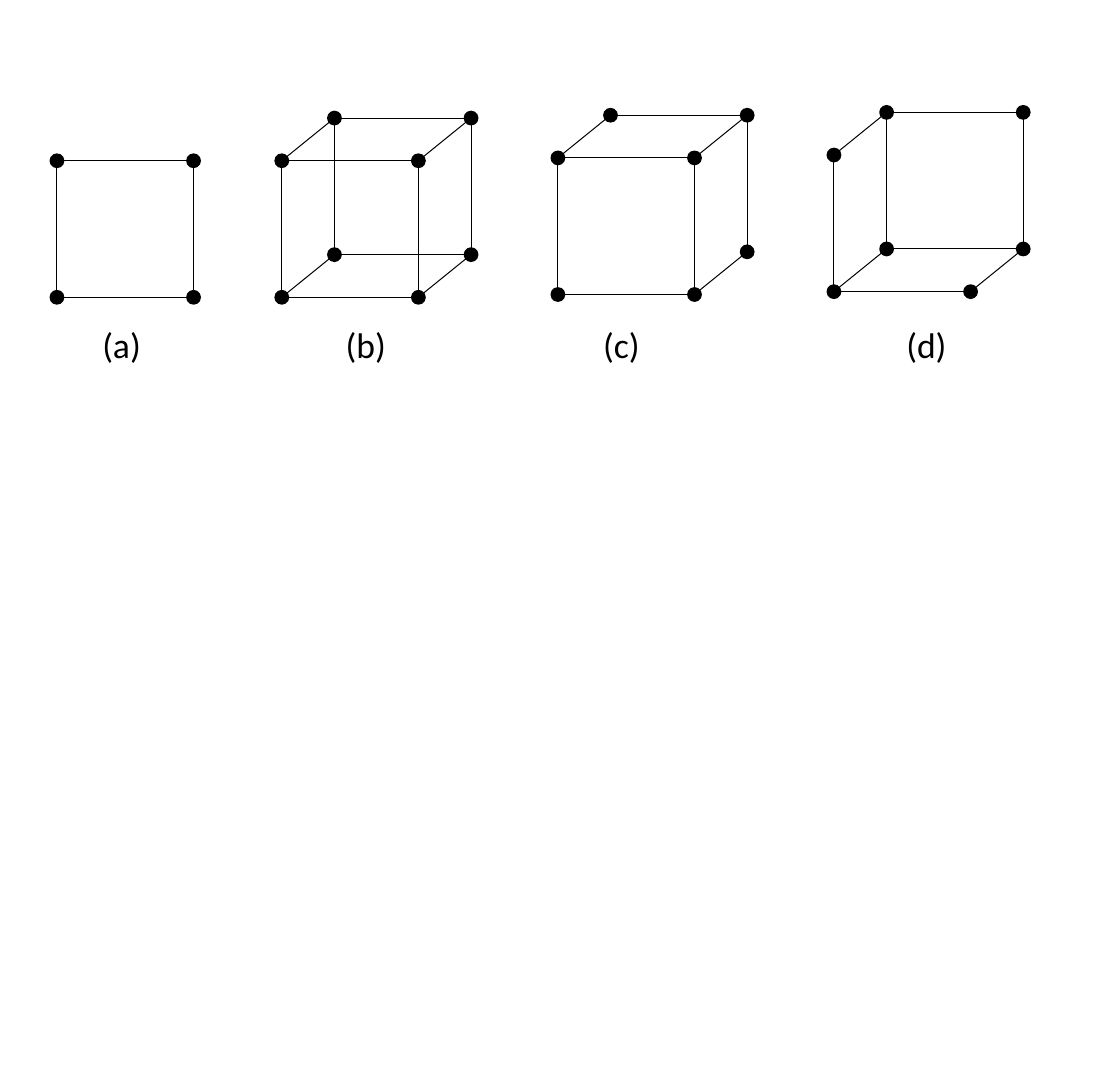
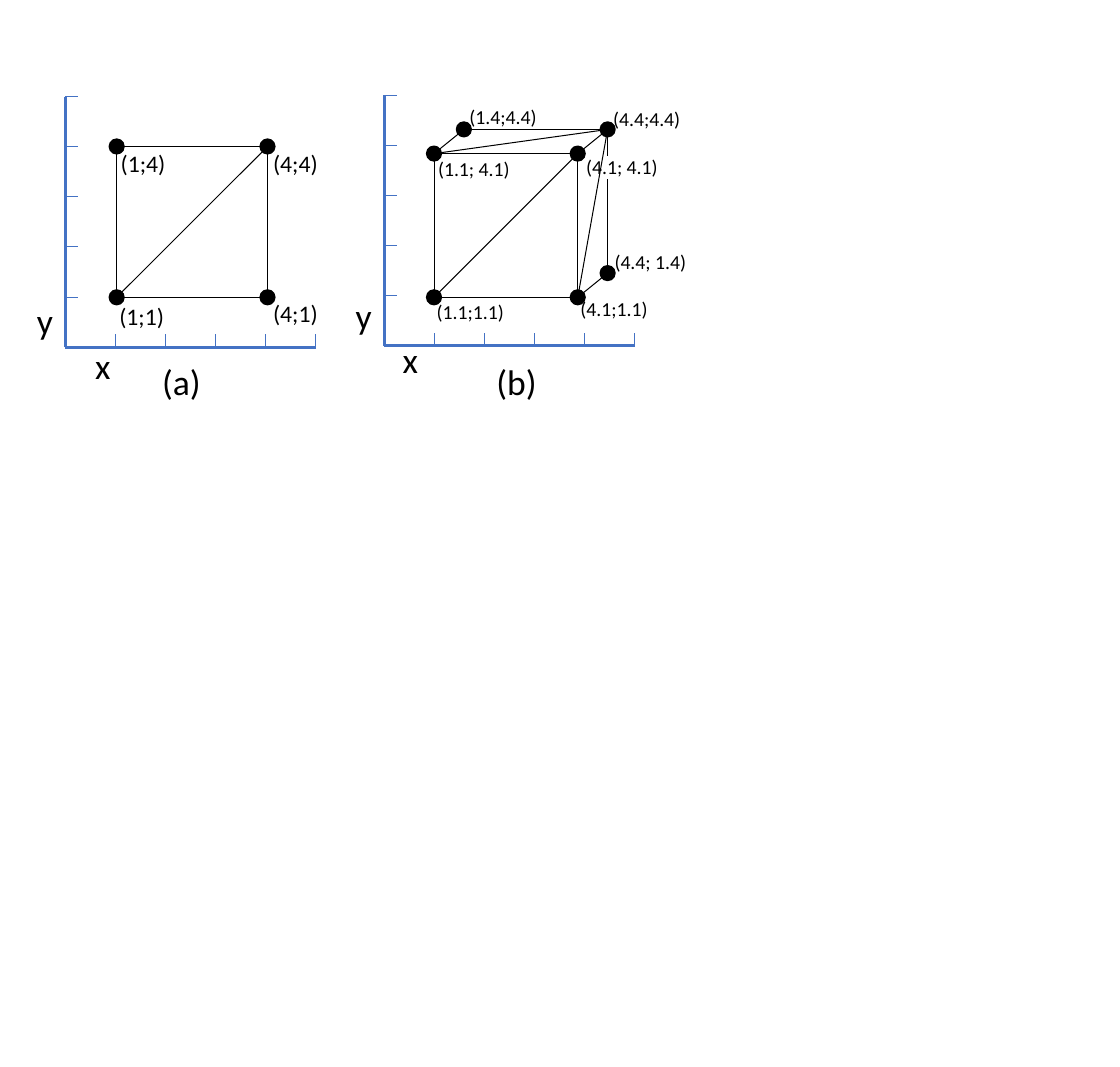
from itertools import combinations, product

from pptx import Presentation
from pptx import util as u
from pptx.dml.color import RGBColor
from pptx.enum import shapes, text
from pptx.oxml.ns import qn
from lxml import etree

COLORS = {"ink": "000000", "axis": "4472C4"}
FONT = "Calibri"
THIN, THICK = 0.5, 1.5
BOX_SIZES = {10: (0.7, 0.27), 12: (0.52, 0.3), 18: (0.48, 0.4)}
AXIS_LENGTH, TICK_GAPS, TICK_LENGTH = 1.76, 5, 0.09

FRONT_TOP_LEFT, FRONT_TOP_RIGHT = (0, 0, 0), (1, 0, 0)
FRONT_BOTTOM_LEFT, FRONT_BOTTOM_RIGHT = (0, 1, 0), (1, 1, 0)
BACK_TOP_LEFT, BACK_TOP_RIGHT = (0, 0, 1), (1, 0, 1)
BACK_BOTTOM_LEFT, BACK_BOTTOM_RIGHT = (0, 1, 1), (1, 1, 1)
CORNERS = list(product((0, 1), repeat=3))
BACK_FACE = [corner for corner in CORNERS if corner[2]]


def rgb(name):
    return RGBColor.from_string(COLORS[name])


def add_line(group, start, end, color="ink", width=THIN):
    ends = [u.Inches(value) for value in (*start, *end)]
    line = group.shapes.add_connector(shapes.MSO_CONNECTOR.STRAIGHT, *ends)
    line.line.color.rgb = rgb(color)
    line.line.width = u.Pt(width)
    etree.SubElement(line._element.spPr, qn("a:effectLst"))


def add_dot(group, center, size):
    x, y = center
    dot = group.shapes.add_shape(
        shapes.MSO_SHAPE.OVAL,
        u.Inches(x - size / 2), u.Inches(y - size / 2), u.Inches(size), u.Inches(size))
    dot.shadow.inherit = False
    dot.fill.solid()
    dot.fill.fore_color.rgb = rgb("ink")
    dot.line.color.rgb = rgb("ink")
    dot.line.width = u.Pt(1)


def add_label(page, words, left, top, size=18, width=None):
    default_width, height = BOX_SIZES[size]
    box = page.shapes.add_textbox(
        u.Inches(left), u.Inches(top), u.Inches(width or default_width), u.Inches(height))
    frame = box.text_frame
    frame.word_wrap = False
    frame.auto_size = text.MSO_AUTO_SIZE.SHAPE_TO_FIT_TEXT
    frame.text = words
    font = frame.paragraphs[0].runs[0].font
    font.name, font.size = FONT, u.Pt(size)
    font.color.rgb = rgb("ink")


def add_cube(page, left, top, side, depth=(0, 0), hidden=(), diagonals=(), dot=0.09, breaks=None):
    group = page.shapes.add_group_shape()
    points = {
        (x, y, z): (left + x * side + z * depth[0], top + y * side + z * depth[1])
        for x, y, z in CORNERS if (x, y, z) not in hidden
    }
    for center in points.values():
        add_dot(group, center, dot)
    edges = [pair for pair in combinations(points, 2)
             if sum(a != b for a, b in zip(*pair)) == 1]
    for pair in edges + list(diagonals):
        start, end = (points[corner] for corner in pair)
        if breaks and pair in breaks:
            upper, lower = breaks[pair]
            add_line(group, start, (start[0], upper))
            add_line(group, (end[0], lower), end)
        else:
            add_line(group, start, end)


def add_axes(page, left, bottom):
    group = page.shapes.add_group_shape()
    origin = (left, bottom)
    add_line(group, origin, (left, bottom - AXIS_LENGTH), "axis", THICK)
    add_line(group, origin, (left + AXIS_LENGTH, bottom), "axis", THICK)
    for index in range(TICK_GAPS + 1):
        offset = index * AXIS_LENGTH / TICK_GAPS
        x, y = left + offset, bottom - offset
        add_line(group, (left, y), (left + TICK_LENGTH, y), "axis")
        add_line(group, (x, bottom), (x, bottom - TICK_LENGTH), "axis")


def build_cubes(page):
    depth = (0.37, -0.3)
    add_cube(page, 0.4, 1.13, 0.96, hidden=BACK_FACE)
    add_cube(page, 1.98, 1.13, 0.96, depth)
    add_cube(page, 3.92, 1.11, 0.96, depth, hidden=[BACK_BOTTOM_LEFT])
    add_cube(page, 5.86, 1.09, 0.96, depth, hidden=[FRONT_TOP_RIGHT])
    for words, left in (("(a)", 0.62), ("(b)", 2.33), ("(c)", 4.14), ("(d)", 6.27)):
        add_label(page, words, left, 2.22)


def build_triangulations(page):
    front_diagonal = (FRONT_BOTTOM_LEFT, FRONT_TOP_RIGHT)
    add_axes(page, 0.46, 2.44)
    add_axes(page, 2.7, 2.43)
    add_cube(page, 0.82, 1.03, 1.06, hidden=BACK_FACE, diagonals=[front_diagonal], dot=0.1)
    add_cube(
        page, 3.05, 1.08, 1.01, (0.21, -0.17), hidden=[BACK_BOTTOM_LEFT], dot=0.1,
        diagonals=[front_diagonal, (FRONT_TOP_LEFT, BACK_TOP_RIGHT),
                   (FRONT_BOTTOM_RIGHT, BACK_TOP_RIGHT)],
        breaks={(BACK_TOP_RIGHT, BACK_BOTTOM_RIGHT): (1.1, 1.26)})
    for words, left, top in (
            ("(1;1)", 0.74, 2.07), ("(1;4)", 0.75, 1), ("(4;4)", 1.82, 1), ("(4;1)", 1.82, 2.05)):
        add_label(page, words, left, top, 12)
    for words, left, top, width in (
            ("(1.1;1.1)", 2.97, 2.06, 0.68), ("(4.1;1.1)", 3.98, 2.04, 0.68),
            ("(4.4; 1.4)", 4.22, 1.71, 0.71), ("(4.1; 4.1)", 4.02, 1.04, 0.71),
            ("(1.1; 4.1)", 2.98, 1.05, 0.71), ("(1.4;4.4)", 3.2, 0.69, 0.68),
            ("(4.4;4.4)", 4.21, 0.7, 0.68)):
        add_label(page, words, left, top, 10, width)
    for words, left, top in (("(a)", 1.04, 2.48), ("(b)", 3.39, 2.48)):
        add_label(page, words, left, top)
    for words, left, top in (
            ("y", 0.16, 2.05), ("y", 2.4, 2.02), ("x", 0.57, 2.37), ("x", 2.73, 2.33)):
        add_label(page, words, left, top, width=0.32)


def main():
    deck = Presentation()
    deck.slide_width, deck.slide_height = u.Inches(7.87), u.Inches(7.5)
    for build in (build_cubes, build_triangulations):
        build(deck.slides.add_slide(deck.slide_layouts[6]))
    deck.save("out.pptx")


if __name__ == "__main__":
    main()
